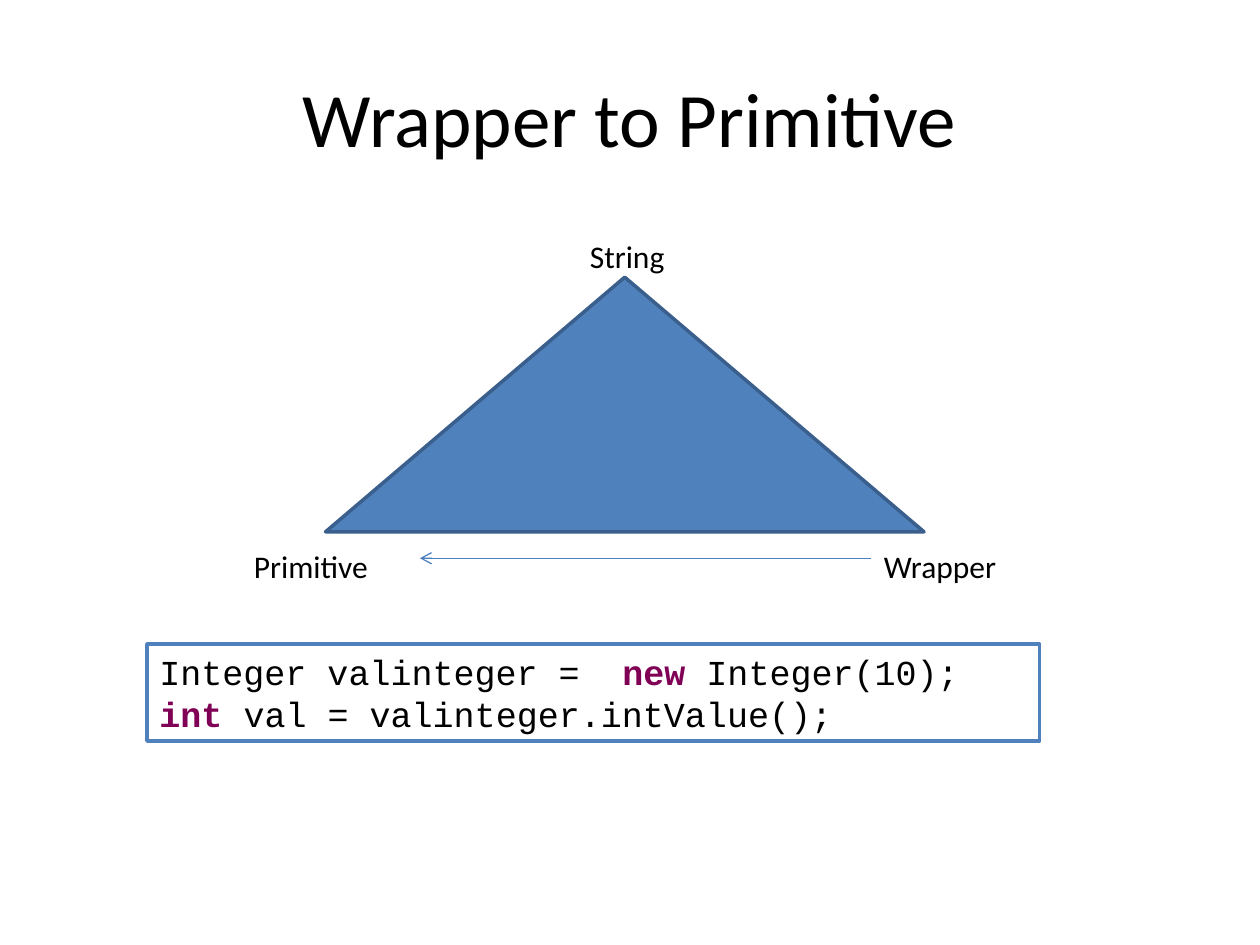
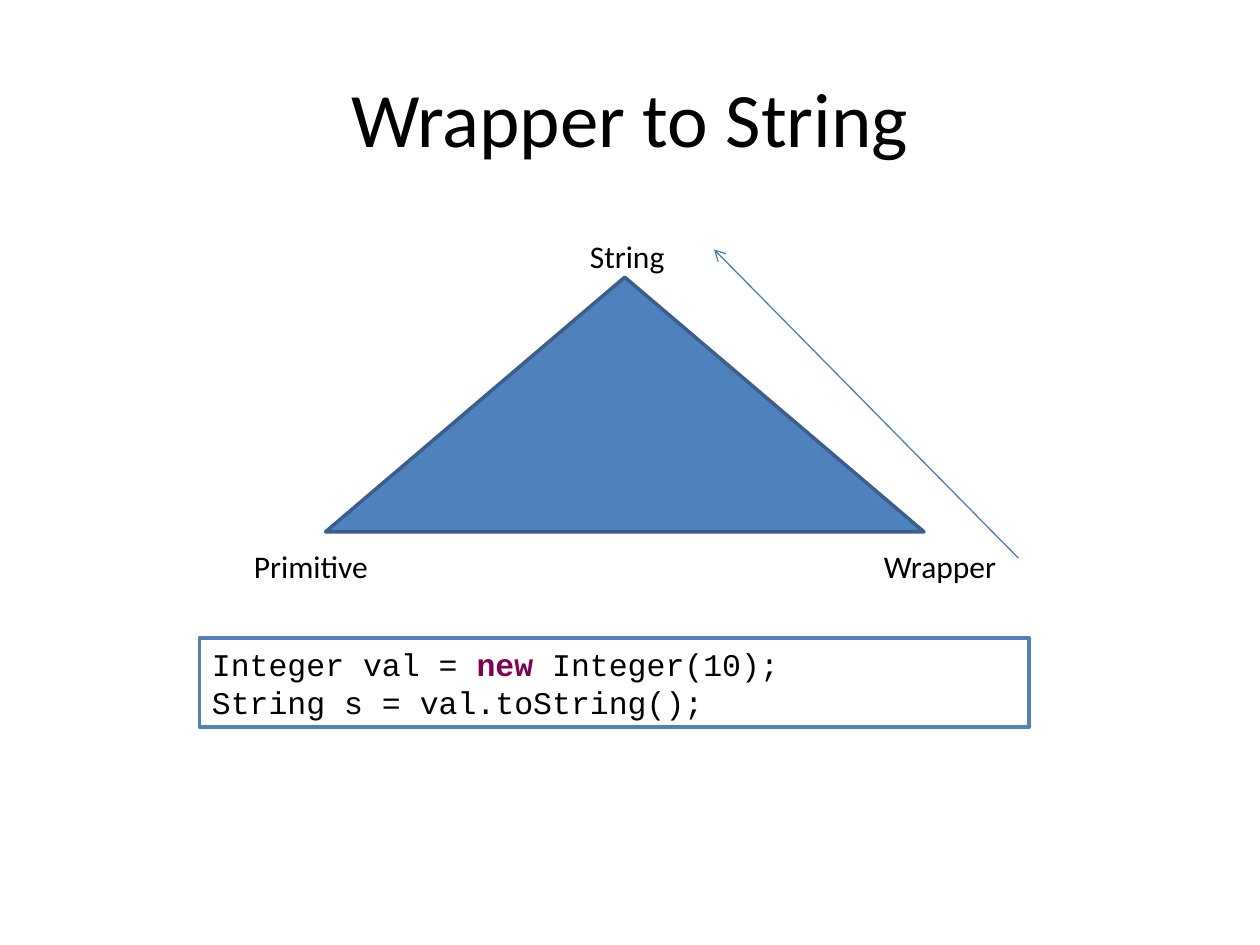
from dataclasses import dataclass

from pptx import Presentation
from pptx.dml.color import RGBColor
from pptx.enum import shapes, text
from pptx.oxml.ns import qn
from pptx.util import Pt
from lxml import etree

# Content: code lines are split at the keywords
KEYWORDS = {"new", "int"}
SLIDES = [
    dict(title="Wrapper to Primitive",
         arrow=((498, 319), (240, 319)),
         code_box=(84, 368, 510, 55.5), code_size=20,
         code=[("Integer valinteger =  ", "new", " Integer(10);"),
               ("int ", "val = valinteger.intValue();")]),
    dict(title="Wrapper to String",
         arrow=((582, 319), (408, 142.5)),
         code_box=(114, 364.5, 474, 51), code_size=18,
         code=[("Integer val = ", "new", " Integer(10);"),
               ("String s = val.toString();",)]),
]

# Corner labels: text, left, top, width
CORNERS = [("Primitive", 138, 309, 102),
           ("Wrapper", 498, 309, 84),
           ("String", 330, 132, 78)]
LABEL_HEIGHT = 21.6
TRIANGLE = (186, 158.4, 342, 145.5)
TITLE_BOX = (36, 21.6, 648, 90)


@dataclass(frozen=True)
class Theme:
    ink: str = "000000"
    paper: str = "FFFFFF"
    accent: str = "4F81BD"
    accent_dark: str = "3A5F8C"
    arrow: str = "4B7EBC"
    keyword: str = "7F0055"
    body_font: str = "Calibri"
    code_font: str = "Courier New"
    title_size: float = 44
    label_size: float = 18
    outline: float = 2
    arrow_width: float = 0.75


THEME = Theme()


def points(values):
    return [Pt(value) for value in values]


def style(run, font, size, color=THEME.ink, bold=False):
    run.font.name, run.font.size, run.font.bold = font, Pt(size), bold
    run.font.color.rgb = RGBColor.from_string(color)


def paint(shape, fill, line):
    shape.shadow.inherit = False
    shape.fill.solid()
    shape.fill.fore_color.rgb = RGBColor.from_string(fill)
    shape.line.color.rgb = RGBColor.from_string(line)
    shape.line.width = Pt(THEME.outline)


def add_title(slide, wording):
    title = slide.shapes.title
    title.left, title.top, title.width, title.height = points(TITLE_BOX)
    frame = title.text_frame
    frame.text = wording
    frame.vertical_anchor = text.MSO_ANCHOR.MIDDLE
    frame.paragraphs[0].alignment = text.PP_ALIGN.CENTER
    style(frame.paragraphs[0].runs[0], THEME.body_font, THEME.title_size)


def add_conversion_triangle(slide):
    group = slide.shapes.add_group_shape().shapes
    triangle = group.add_shape(shapes.MSO_SHAPE.ISOSCELES_TRIANGLE, *points(TRIANGLE))
    paint(triangle, THEME.accent, THEME.accent_dark)
    for wording, left, top, width in CORNERS:
        corner = group.add_textbox(*points((left, top, width, LABEL_HEIGHT)))
        frame = corner.text_frame
        frame.word_wrap = True
        frame.auto_size = text.MSO_AUTO_SIZE.SHAPE_TO_FIT_TEXT
        frame.text = wording
        style(frame.paragraphs[0].runs[0], THEME.body_font, THEME.label_size)


def add_arrow(slide, start, end):
    arrow = slide.shapes.add_connector(shapes.MSO_CONNECTOR.STRAIGHT,
                                       *points(start + end))
    arrow.line.color.rgb = RGBColor.from_string(THEME.arrow)
    arrow.line.width = Pt(THEME.arrow_width)
    etree.SubElement(arrow.line._get_or_add_ln(), qn("a:tailEnd"), type="arrow")
    etree.SubElement(arrow._element.spPr, qn("a:effectLst"))


def add_code(slide, box, size, lines):
    code = slide.shapes.add_shape(shapes.MSO_SHAPE.RECTANGLE, *points(box))
    paint(code, THEME.paper, THEME.accent)
    frame = code.text_frame
    frame.word_wrap = True
    frame.auto_size = text.MSO_AUTO_SIZE.SHAPE_TO_FIT_TEXT
    frame.vertical_anchor = text.MSO_ANCHOR.MIDDLE
    for number, parts in enumerate(lines):
        line = frame.add_paragraph() if number else frame.paragraphs[0]
        line.alignment = text.PP_ALIGN.LEFT
        for part in parts:
            run = line.add_run()
            run.text = part
            is_keyword = part.strip() in KEYWORDS
            style(run, THEME.code_font, size,
                  THEME.keyword if is_keyword else THEME.ink, is_keyword)


# Build the slides
deck = Presentation()
deck.slide_width, deck.slide_height = Pt(720), Pt(540)
title_only = deck.slide_layouts.get_by_name("Title Only")
for content in SLIDES:
    slide = deck.slides.add_slide(title_only)
    add_title(slide, content["title"])
    add_conversion_triangle(slide)
    add_arrow(slide, *content["arrow"])
    add_code(slide, content["code_box"], content["code_size"], content["code"])

deck.save("out.pptx")
